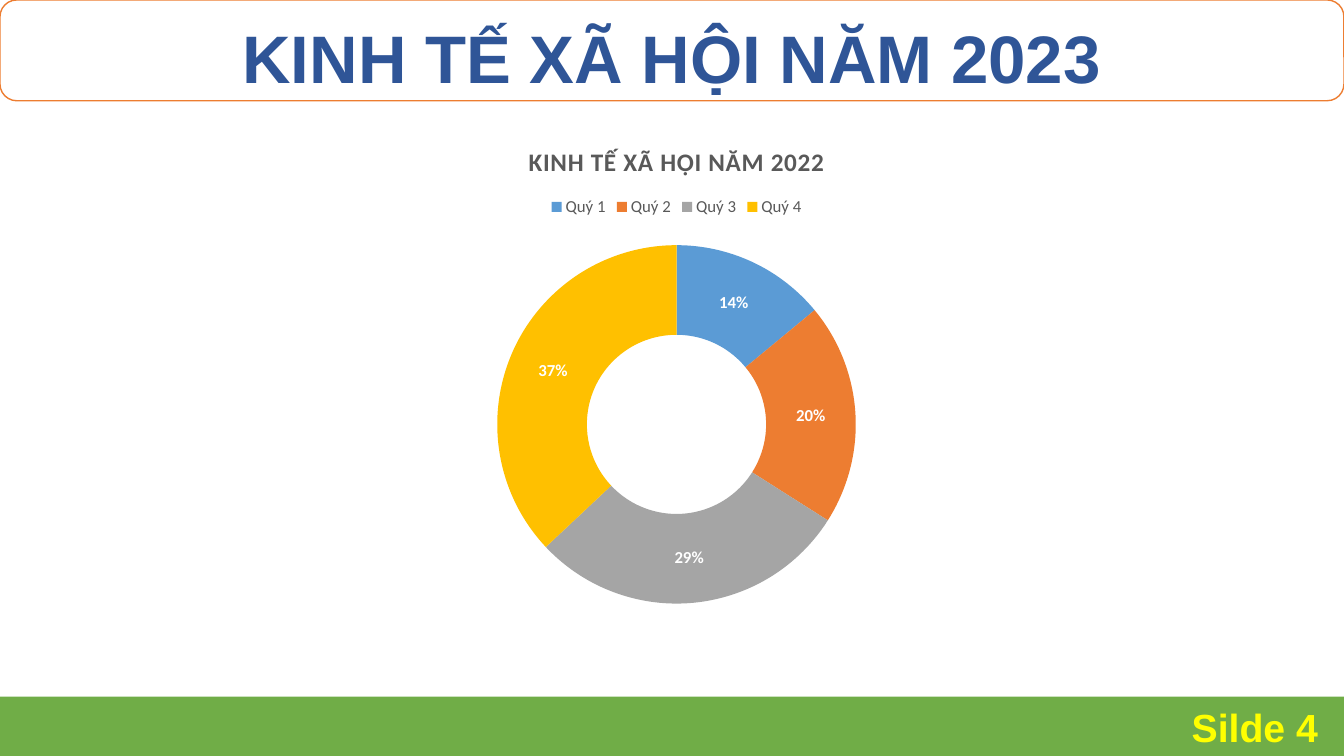
"""Build the 2023 socio-economic slide with its doughnut chart."""
from dataclasses import dataclass

from lxml import etree
from pptx import Presentation
from pptx import util as u
from pptx.chart import data
from pptx.dml.color import RGBColor
from pptx.enum import chart as ch
from pptx.enum import shapes, text
from pptx.oxml import ns


@dataclass(frozen=True)
class Theme:
    """Colours, fonts and type sizes."""
    white: str = "FFFFFF"
    orange: str = "ED7D31"
    green: str = "70AD47"
    navy: str = "2F5597"
    yellow: str = "FFFF00"
    grey: str = "595959"
    slices: tuple = ("5B9BD5", "ED7D31", "A5A5A5", "FFC000")
    head_font: str = "Arial"
    chart_font: str = "Calibri"
    title: int = 48
    footer: int = 28
    chart_title: int = 18
    label: int = 12


def style_font(font, size, color, name, bold=False):
    """Set size, colour, typeface and weight of a font."""
    font.size, font.name, font.bold = u.Pt(size), name, bold
    font.color.rgb = RGBColor.from_string(color)


def write(tf, words, *, size, color, name, align, bold=True):
    """Write one formatted run into a text frame and return it."""
    p = tf.paragraphs[0]
    p.alignment = align
    r = p.add_run()
    r.text = words
    style_font(r.font, size, color, name, bold)
    return r


def outline(r, color, width):
    """Give the letters of a run a coloured outline."""
    ln = etree.Element(ns.qn("a:ln"), w=str(u.Pt(width)))
    fill = etree.SubElement(ln, ns.qn("a:solidFill"))
    etree.SubElement(fill, ns.qn("a:srgbClr"), val=color)
    r.font._element.insert(0, ln)


def place_plot(chart, x, y, w, h):
    """Fix the inner plot area as fractions of the chart."""
    plot_area = chart._chartSpace.chart.plotArea
    for old in plot_area.findall(ns.qn("c:layout")):
        plot_area.remove(old)
    layout = etree.Element(ns.qn("c:layout"))
    manual = etree.SubElement(layout, ns.qn("c:manualLayout"))
    settings = dict(layoutTarget="inner", xMode="edge", yMode="edge",
                    x=x, y=y, w=w, h=h)
    for tag, val in settings.items():
        etree.SubElement(manual, ns.qn("c:" + tag), val=str(val))
    plot_area.insert(0, layout)


class SlideBuilder:
    """Draws styled elements on the current slide."""

    def __init__(self, slide, theme):
        self.s, self.theme = slide, theme

    def panel(self, kind, box, fill, line=None):
        """Add a filled shape with an optional border."""
        sp = self.s.shapes.add_shape(kind, *map(u.Inches, box))
        sp.shadow.inherit = False
        sp.fill.solid()
        sp.fill.fore_color.rgb = RGBColor.from_string(fill)
        if line:
            sp.line.color.rgb = RGBColor.from_string(line)
            sp.line.width = u.Pt(1)
        else:
            sp.line.fill.background()
        return sp

    def label(self, words, box, *, anchor, grow=False, **fmt):
        """Add a wrapped text box and return its run."""
        tf = self.s.shapes.add_textbox(*map(u.Inches, box)).text_frame
        tf.word_wrap = True
        tf.vertical_anchor = anchor
        if grow:
            tf.auto_size = text.MSO_AUTO_SIZE.SHAPE_TO_FIT_TEXT
        return write(tf, words, name=self.theme.head_font, **fmt)

    def doughnut(self, title, shares, box, plot_box):
        """Add a doughnut chart with percentage labels."""
        t = self.theme
        cd = data.CategoryChartData()
        cd.categories = list(shares)
        cd.add_series("Series 1", list(shares.values()))
        chart = self.s.shapes.add_chart(
            ch.XL_CHART_TYPE.DOUGHNUT, *map(u.Inches, box), cd).chart
        style_font(chart.font, t.label, t.grey, t.chart_font)

        chart.has_title = True
        r = write(chart.chart_title.text_frame, title, size=t.chart_title,
                  color=t.grey, name=t.chart_font,
                  align=text.PP_ALIGN.CENTER)
        r.font._element.set("spc", "50")
        chart.chart_title.include_in_layout = False

        chart.has_legend = True
        chart.legend.position = ch.XL_LEGEND_POSITION.TOP
        chart.legend.include_in_layout = False
        style_font(chart.legend.font, t.label, t.grey, t.chart_font)

        plot = chart.plots[0]
        plot.vary_by_categories = True
        for i, color in enumerate(t.slices):
            fmt = plot.series[0].points[i].format
            fmt.fill.solid()
            fmt.fill.fore_color.rgb = RGBColor.from_string(color)
            fmt.line.fill.background()
        labels = plot.series[0].data_labels
        labels.show_percentage = True
        labels.show_value = False
        labels.number_format = "0%"
        labels.number_format_is_linked = False
        style_font(labels.font, t.label, t.white, t.chart_font, bold=True)
        place_plot(chart, *plot_box)


def main():
    """Compose and save the slide."""
    t = Theme()
    prs = Presentation()
    prs.slide_width, prs.slide_height = u.Inches(13.33), u.Inches(7.5)
    b = SlideBuilder(prs.slides.add_slide(prs.slide_layouts[6]), t)
    b.panel(shapes.MSO_SHAPE.ROUNDED_RECTANGLE, (0, 0, 13.33, 1),
            t.white, t.orange)
    b.panel(shapes.MSO_SHAPE.RECTANGLE, (0, 6.91, 13.33, 0.59), t.green)
    r = b.label("KINH TẾ XÃ HỘI NĂM 2023", (0, 0.11, 13.33, 0.91),
                anchor=text.MSO_ANCHOR.TOP, grow=True, size=t.title,
                color=t.navy, align=text.PP_ALIGN.CENTER)
    outline(r, t.orange, 1.75)
    b.label("Silde 4", (10.17, 7.01, 3, 0.4), anchor=text.MSO_ANCHOR.MIDDLE,
            size=t.footer, color=t.yellow, align=text.PP_ALIGN.RIGHT)
    b.doughnut("KINH TẾ XÃ HỘI NĂM 2022",
               {"Quý 1": 14, "Quý 2": 20, "Quý 3": 29, "Quý 4": 37},
               (2.64, 1.23, 8.14, 5.23), (0.28, 0.23, 0.44, 0.68))
    prs.save("out.pptx")


if __name__ == "__main__":
    main()
